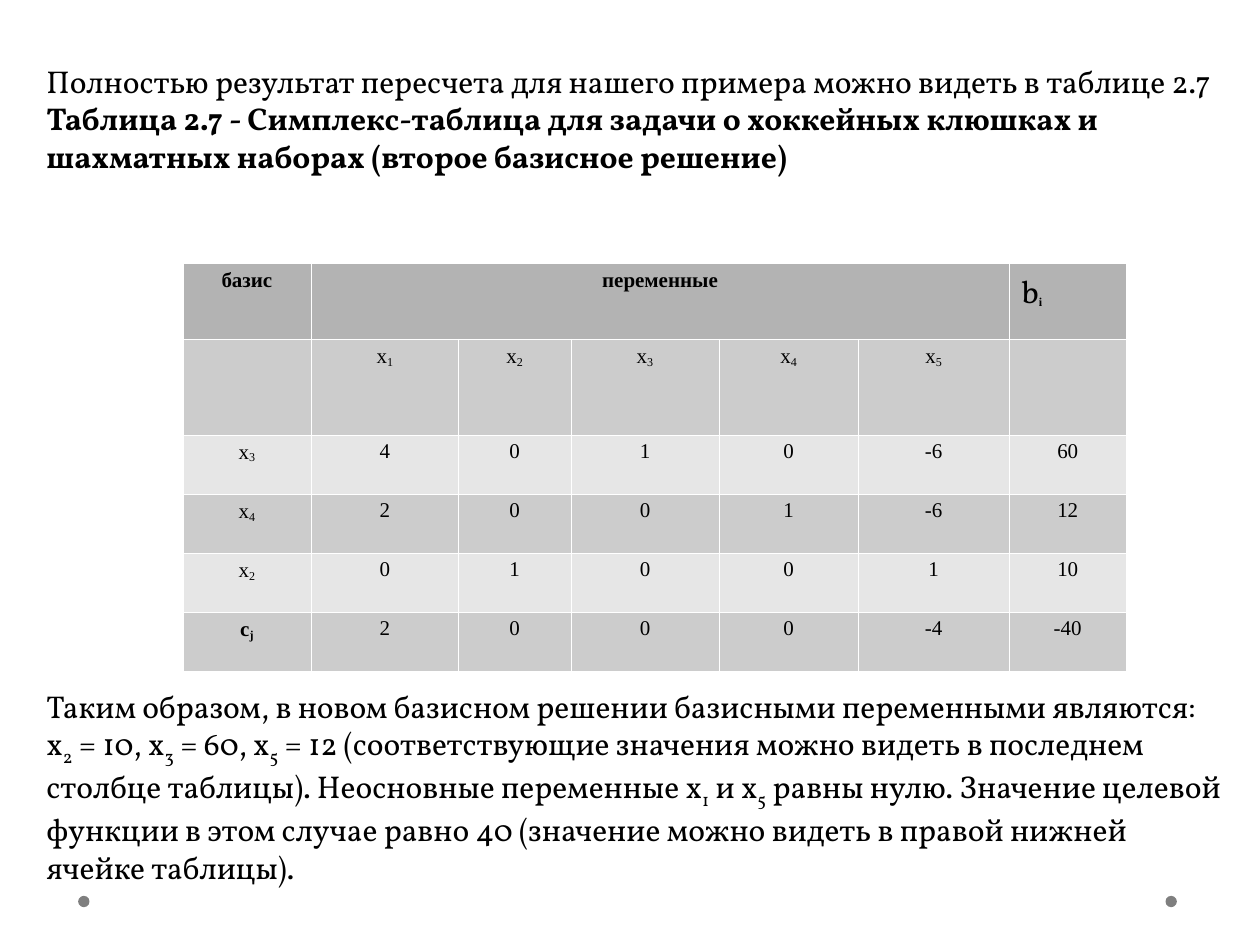
from lxml import etree
from pptx import Presentation
from pptx.dml.color import RGBColor
from pptx.enum import shapes, text
from pptx.oxml import ns
from pptx.util import Inches, Pt

BLACK = RGBColor(0x00, 0x00, 0x00)
DOT_GRAY = RGBColor(0x7F, 0x7F, 0x7F)
HEAD_GRAY = RGBColor(0xB3, 0xB3, 0xB3)
DARK_BAND = RGBColor(0xCC, 0xCC, 0xCC)
LIGHT_BAND = RGBColor(0xE6, 0xE6, 0xE6)
SERIF, BODY = "Times New Roman", "Vollkorn"


def add_runs(p, marked, font, size, bold=False, baseline=-25000):
    """Fill a paragraph; pieces between tildes become subscripts."""
    for i, piece in enumerate(marked.split("~")):
        if not piece:
            continue
        r = p.add_run()
        r.text = piece
        r.font.name, r.font.size, r.font.bold = font, Pt(size), bold
        r.font.color.rgb = BLACK
        if i % 2:
            r.font._element.set("baseline", str(baseline))


def add_white_borders(cell):
    tc_pr = cell._tc.get_or_add_tcPr()
    for side in ("lnL", "lnR", "lnT", "lnB"):
        ln = etree.SubElement(tc_pr, ns.qn(f"a:{side}"), w="762")
        fill = etree.SubElement(ln, ns.qn("a:solidFill"))
        etree.SubElement(fill, ns.qn("a:srgbClr"), val="FFFFFF")


prs = Presentation()
prs.slide_width, prs.slide_height = Inches(10), Inches(7.5)
s = prs.slides.add_slide(prs.slide_layouts[6])

# Footer dots
for left in (9.25, 0.62):
    sp = s.shapes.add_shape(shapes.MSO_SHAPE.OVAL, Inches(left), Inches(7.11),
                            Inches(0.09), Inches(0.09))
    sp.shadow.inherit = False
    sp.fill.solid()
    sp.fill.fore_color.rgb = DOT_GRAY
    sp.line.fill.background()

# Simplex table
COLS = [1.02, 1.17, 0.89, 1.18, 1.1, 1.2, 0.93]
ROWS = [0.6, 0.76] + [0.47] * 4
CELLS = [
    ["базис", "переменные", "", "", "", "", "b~i~"],
    ["", "x~1~", "x~2~", "x~3~", "x~4~", "x~5~", ""],
    ["x~3~", "4", "0", "1", "0", "-6", "60"],
    ["x~4~", "2", "0", "0", "1", "-6", "12"],
    ["x~2~", "0", "1", "0", "0", "1", "10"],
    ["c~j~", "2", "0", "0", "0", "-4", "-40"],
]
table = s.shapes.add_table(len(ROWS), len(COLS), Inches(1.45), Inches(2.09),
                           Inches(sum(COLS)), Inches(sum(ROWS))).table
for column, width in zip(table.columns, COLS):
    column.width = Inches(width)
for row, height in zip(table.rows, ROWS):
    row.height = Inches(height)
table.cell(0, 1).merge(table.cell(0, 5))

for i, row in enumerate(CELLS):
    for j, value in enumerate(row):
        cell = table.cell(i, j)
        add_white_borders(cell)
        cell.fill.solid()
        cell.fill.fore_color.rgb = (HEAD_GRAY if i == 0 else
                                    DARK_BAND if i % 2 else LIGHT_BAND)
        p = cell.text_frame.paragraphs[0]
        if value == "b~i~":
            p.line_spacing = 1.08
            add_runs(p, "b", BODY, 18)
            add_runs(p, "~i~", SERIF, 12, True, -14000)
        elif value:
            p.alignment = text.PP_ALIGN.CENTER
            p.line_spacing = 0.93
            bold = i == 0 or value == "c~j~"
            add_runs(p, value, SERIF, 12, bold, -14000)

# Introduction with table caption, and conclusion
TEXTS = [
    (0.44, 1.3, [
        ("Полностью результат пересчета для нашего примера можно видеть "
         "в таблице 2.7", False),
        ("Таблица 2.7 - Симплекс-таблица для задачи о хоккейных клюшках и "
         "шахматных наборах (второе базисное решение)", True),
    ]),
    (5.4, 1.98, [
        ("Таким образом, в новом базисном решении базисными переменными "
         "являются: x~2~ = 10, x~3~ = 60, x~5~ = 12 (соответствующие значения "
         "можно видеть в последнем столбце таблицы). Неосновные переменные "
         "x~1~ и x~5~ равны нулю. Значение целевой функции в этом случае "
         "равно 40 (значение можно видеть в правой нижней ячейке таблицы).",
         False),
    ]),
]
for top, height, paragraphs in TEXTS:
    tf = s.shapes.add_textbox(Inches(0.27), Inches(top),
                              Inches(9.53), Inches(height)).text_frame
    tf.word_wrap = True
    for i, (marked, bold) in enumerate(paragraphs):
        p = tf.add_paragraph() if i else tf.paragraphs[0]
        add_runs(p, marked, BODY, 18, bold)

prs.save("out.pptx")
